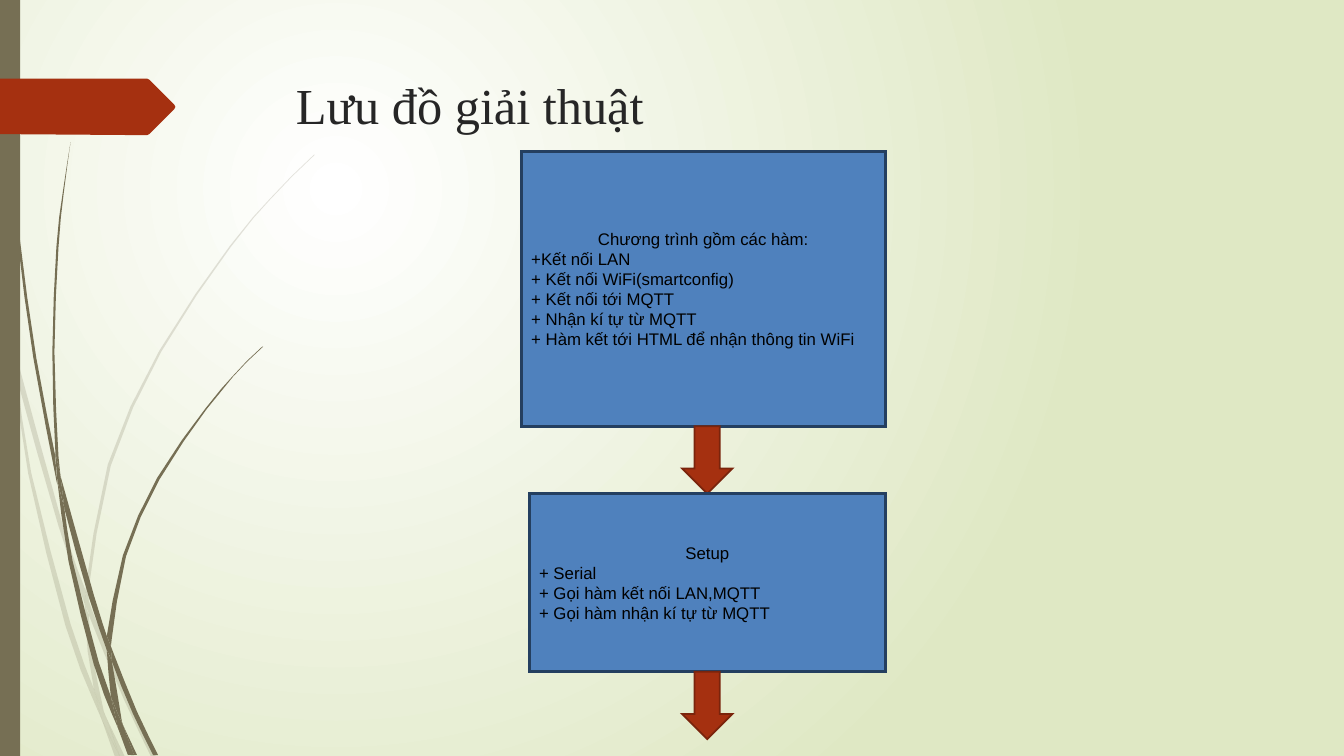
import math
import pptx
import pptx.util
import pptx.dml.color
import pptx.enum.shapes
import pptx.enum.text
import pptx.oxml
import pptx.oxml.ns

Pt = pptx.util.Pt
qn = pptx.oxml.ns.qn
RGBColor = pptx.dml.color.RGBColor
SHAPES = pptx.enum.shapes.MSO_SHAPE
ALIGN = pptx.enum.text.PP_ALIGN
ANCHOR = pptx.enum.text.MSO_ANCHOR

WHITE = RGBColor(0xFF, 0xFF, 0xFF)
PALE_GREEN = RGBColor(0xDF, 0xE8, 0xC4)
OLIVE = RGBColor(0x76, 0x6F, 0x54)
RUST = RGBColor(0xA5, 0x30, 0x10)
DARK_RUST = RGBColor(0x7A, 0x24, 0x0C)
BLUE = RGBColor(0x4F, 0x81, 0xBD)
NAVY = RGBColor(0x24, 0x3F, 0x60)
BLACK = RGBColor(0, 0, 0)
CHARCOAL = RGBColor(0x26, 0x26, 0x26)

TITLE = "Lưu đồ giải thuật"
# left, top, height, heading, items
STEPS = [
    (372.4, 108.2, 196.2, "Chương trình gồm các hàm:", [
        "+Kết nối LAN",
        "+ Kết nối WiFi(smartconfig)",
        "+ Kết nối tới MQTT",
        "+ Nhận kí tự từ MQTT",
        "+ Hàm kết tới HTML để nhận thông tin WiFi",
    ]),
    (378, 352.6, 127.2, "Setup", [
        "+ Serial",
        "+ Gọi hàm kết nối LAN,MQTT",
        "+ Gọi hàm nhận kí tự từ MQTT",
    ]),
]
STEPS_RIGHT = 632.5
ARROW_CENTRE, ARROW_WIDTH, ARROW_HEIGHT = 505.2, 36, 48.2

TAG = [(0, 56.2), (105.1, 56.2), (106.6, 56.9), (124.6, 74.9), (125.3, 76.3),
       (124.6, 77.8), (106.6, 95.8), (105.1, 96.5), (97.9, 96.5), (0, 95.8)]
# Each part of a grass blade: the points of its left edge, then of its right edge, downwards
FAINT_BLADES = [
    ([(0, 215.3), (7.2, 247.7), (7.9, 252)], [(0, 203), (6.5, 231.8), (7.9, 252)]),
    ([(10.1, 248.4), (12.2, 270.7), (41.8, 375.8), (60.5, 431.3)],
     [(10.1, 248.4), (44.6, 374.4), (61.2, 421.9)]),
    ([(63.4, 429.1), (63.4, 439.2), (88.6, 499.7), (108, 540.7)],
     [(63.4, 429.1), (66.2, 437), (91.4, 498.2), (111.6, 540.7)]),
    ([(75.6, 511.9), (85.7, 540.7)], [(75.6, 511.9), (89.3, 540.7)]),
    ([(7.9, 252), (20.2, 338.4), (46.8, 447.1), (66.2, 499), (72.7, 514.1)],
     [(7.9, 252), (12.2, 270.7), (22.3, 337.7), (50.4, 445.7), (67, 491.8), (71.3, 509),
      (72.7, 514.1)]),
    ([(60.5, 431.3), (62.6, 465.1), (67, 491.8), (69.1, 498.2), (75.6, 511.9)],
     [(60.5, 431.3), (63.4, 439.2), (65.5, 465.1), (74.2, 508.3), (75.6, 511.9)]),
    ([(224.6, 110.2), (208.1, 126), (193, 141.8), (164.2, 175.7), (113.8, 250.6),
      (77, 331.9), (61.2, 420.5), (61.2, 421.9)],
     [(224.6, 110.9), (208.8, 126), (193, 142.6), (164.9, 176.4), (115.2, 251.3),
      (79.2, 332.6), (63.4, 420.5), (63.4, 429.1)]),
    ([(72.7, 514.1), (82.1, 540.7)], [(72.7, 514.1), (85.7, 540.7)]),
    ([(61.2, 421.9), (60.5, 431.3), (63.4, 437.8)],
     [(61.2, 421.9), (63.4, 429.1), (63.4, 439.2)]),
    ([(67, 491.8), (71.3, 509), (72.7, 514.1), (85.7, 540.7)],
     [(67, 491.8), (69.1, 498.2), (75.6, 511.9), (85.7, 540.7)]),
]
DARK_BLADES = [
    ([(2.2, 0), (2.9, 34.6), (5, 79.2), (12.2, 167.8), (23.8, 255.6), (40.3, 343.4),
      (41, 346.3)],
     [(2.9, 0), (3.6, 34.6), (5.8, 78.5), (13.7, 167), (25.9, 255.6), (39.6, 326.2),
      (39.6, 329), (41, 346.3)]),
    ([(43.2, 339.8), (46.1, 363.6), (63.4, 426.2), (76.3, 464.4)],
     [(43.2, 339.8), (67, 424.8), (76.3, 454.3), (76.3, 455.8)]),
    ([(79.2, 461.5), (79.9, 472.3), (95, 509.8), (109.4, 539.3)],
     [(79.2, 461.5), (81.4, 467.3), (97.9, 508.3), (113, 539.3)]),
    ([(41, 343.4), (49, 401), (67, 474.5), (79.9, 509.8), (84.2, 519.8)],
     [(41, 343.4), (46.1, 363.6), (51.8, 400.3), (70.6, 473), (79.2, 497.5), (83.5, 516.2),
      (84.2, 519.8)]),
    ([(50.4, 101.5), (44.6, 139), (40.3, 176.4), (37.4, 251.3), (39.6, 323.3), (43.2, 339.8)],
     [(50.4, 101.5), (45.4, 139), (41.8, 176.4), (38.9, 251.3), (41.8, 326.2), (43.2, 339.8)]),
    ([(87.8, 517.7), (95.8, 539.3)], [(87.8, 517.7), (97.9, 539.3)]),
    ([(39.6, 323.3), (39.6, 326.2), (41, 343.4), (46.1, 363.6)],
     [(39.6, 323.3), (43.2, 339.8), (46.1, 363.6)]),
    ([(187.2, 247.7), (176.4, 257.8), (166.3, 268.6), (146.9, 291.6), (112.3, 341.3),
      (87.8, 396.7), (76.3, 454.3)],
     [(187.9, 247.7), (176.4, 258.5), (166.3, 269.3), (147.6, 292.3), (113.8, 342.7),
      (90, 397.4), (79.9, 455.8), (79.2, 461.5)]),
    ([(84.2, 519.8), (91.4, 539.3)], [(84.2, 519.8), (94.3, 539.3)]),
    ([(76.3, 464.4), (79.2, 497.5), (83.5, 508.3), (87.8, 517.7)],
     [(76.3, 464.4), (79.9, 472.3), (87.1, 515.5), (87.8, 517.7)]),
    ([(76.3, 454.3), (76.3, 464.4), (78.5, 468.7)],
     [(76.3, 454.3), (79.2, 461.5), (79.9, 472.3)]),
    ([(79.2, 497.5), (83.5, 516.2), (84.2, 519.8), (93.6, 539.3)],
     [(79.2, 497.5), (83.5, 508.3), (87.8, 517.7), (95.8, 539.3)]),
]


def smooth(points):
    """Add a Catmull-Rom midpoint to every long segment."""
    ends = [points[0], *points, points[-1]]
    curve = [points[0]]
    for before, start, end, after in zip(ends, ends[1:], ends[2:], ends[3:]):
        if math.dist(start, end) > 30:
            curve.append(tuple((9 * (b + c) - a - d) / 16
                               for a, b, c, d in zip(before, start, end, after)))
        curve.append(end)
    return curve


def paint(shape, fill, line=None, weight=0):
    shape.shadow.inherit = False
    shape.fill.solid()
    shape.fill.fore_color.rgb = fill
    if line is None:
        shape.line.fill.background()
    else:
        shape.line.color.rgb = line
        shape.line.width = Pt(weight)
        outline = shape._element.spPr.find(qn("a:ln"))
        outline.append(outline.makeelement(qn("a:miter"), {"lim": "800000"}))


def add_preset(page, kind, left, top, width, height, *colours):
    shape = page.shapes.add_shape(kind, Pt(left), Pt(top), Pt(width), Pt(height))
    paint(shape, *colours)
    return shape


def add_outline(page, points, fill, opacity=100):
    corners = [(round(x * 100), round(y * 100)) for x, y in points]
    builder = page.shapes.build_freeform(*corners[0], scale=Pt(1) / 100)
    builder.add_line_segments(corners[1:], close=True)
    shape = builder.convert_to_shape()
    paint(shape, fill)
    if opacity < 100:
        colour = shape._element.spPr.find(".//" + qn("a:srgbClr"))
        colour.append(colour.makeelement(qn("a:alpha"), {"val": str(opacity * 1000)}))


def set_font(para, name, size, colour):
    for span in para.runs:
        span.font.name = name
        span.font.size = Pt(size)
        span.font.color.rgb = colour


def set_background(page):
    fill = page.background.fill
    fill.gradient()
    for stop, colour, position in zip(fill.gradient_stops, (WHITE, PALE_GREEN), (0, 1)):
        stop.color.rgb = colour
        stop.position = position
    gradient = page._element.find(".//" + qn("a:gradFill"))
    gradient.replace(gradient.find(qn("a:lin")), pptx.oxml.parse_xml(
        f'<a:path {pptx.oxml.ns.nsdecls("a")} path="circle">'
        '<a:fillToRect l="50000" t="50000" r="100000" b="100000"/></a:path>'))


def add_title(page):
    title = page.shapes.title
    title.left, title.top, title.width, title.height = Pt(204.2), Pt(49), Pt(702), Pt(100.8)
    frame = title.text_frame
    frame.text = TITLE
    frame.vertical_anchor = ANCHOR.TOP
    frame.paragraphs[0].alignment = ALIGN.LEFT
    set_font(frame.paragraphs[0], "Times New Roman", 36, CHARCOAL)


def add_step(page, left, top, height, heading, items):
    """Add a box of the flow with the arrow that leaves it."""
    box = add_preset(page, SHAPES.RECTANGLE, left, top, STEPS_RIGHT - left, height, BLUE, NAVY, 2)
    frame = box.text_frame
    frame.word_wrap = True
    frame.vertical_anchor = ANCHOR.MIDDLE
    frame.text = "\n".join([heading, *items])
    for index, para in enumerate(frame.paragraphs):
        para.alignment = ALIGN.LEFT if index else ALIGN.CENTER
        set_font(para, "Arial", 12, BLACK)
    add_preset(page, SHAPES.DOWN_ARROW, ARROW_CENTRE - ARROW_WIDTH / 2, top + height,
               ARROW_WIDTH, ARROW_HEIGHT, RUST, DARK_RUST, 1.25)


deck = pptx.Presentation()
deck.slide_width, deck.slide_height = Pt(960), Pt(540)
page = deck.slides.add_slide(deck.slide_layouts[5])
set_background(page)
for blades, opacity in ((FAINT_BLADES, 20), (DARK_BLADES, 100)):
    for left_edge, right_edge in blades:
        add_outline(page, smooth(left_edge) + smooth(right_edge)[::-1], OLIVE, opacity)
add_preset(page, SHAPES.RECTANGLE, 0, 0, 14.4, 540, OLIVE)
add_outline(page, TAG, RUST)
add_title(page)
for step in STEPS:
    add_step(page, *step)
deck.save("out.pptx")
